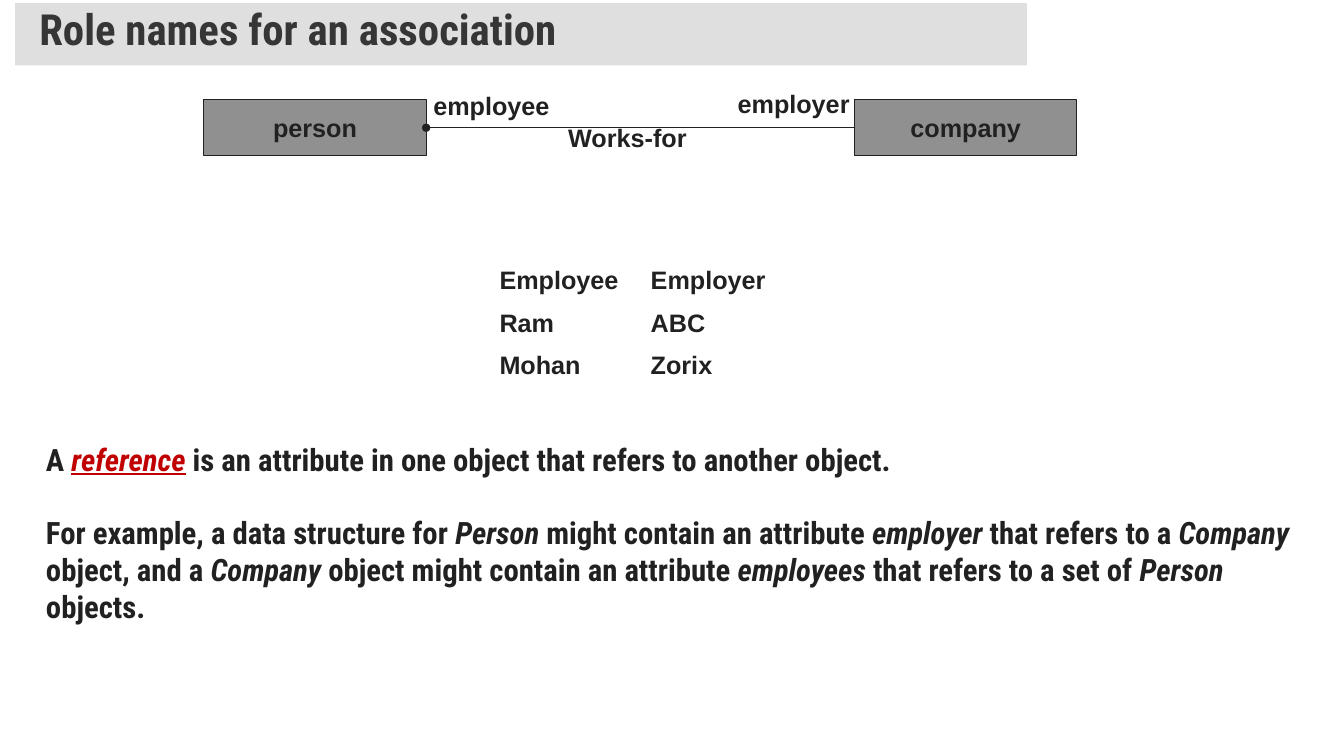
import pptx
import pptx.dml.color
import pptx.enum.shapes
import pptx.enum.text
import pptx.oxml
import pptx.oxml.ns
import pptx.util

Cm = pptx.util.Cm
Pt = pptx.util.Pt


def colour(hex_code):
    """Turn a hex string into a colour."""
    return pptx.dml.color.RGBColor.from_string(hex_code)


class AssociationSlide:
    """Hold the style and the current slide, and draw its elements."""

    INK = "212121"
    ACCENT = "C00000"
    LABEL_FONT = "Arial"
    BODY_FONT = "Roboto Condensed"

    def __init__(self, deck):
        """Add a title-only slide to the deck."""
        self.slide = deck.slides.add_slide(deck.slide_layouts[5])

    def style(self, run, font, size, ink=INK):
        """Format one bold run."""
        run.font.name = font
        run.font.size = Pt(size)
        run.font.bold = True
        run.font.color.rgb = colour(ink)

    def title(self, wording, left, top, width, height):
        """Place the title on its half-transparent grey band."""
        heading = self.slide.shapes.title
        heading.left, heading.top = Cm(left), Cm(top)
        heading.width, heading.height = Cm(width), Cm(height)
        heading.fill.solid()
        heading.fill.fore_color.rgb = colour("C0C0C0")
        grey = heading.fill._xPr.find(".//" + pptx.oxml.ns.qn("a:srgbClr"))
        grey.append(pptx.oxml.parse_xml(
            f'<a:alpha {pptx.oxml.ns.nsdecls("a")} val="50000"/>'))
        frame = heading.text_frame
        frame.text = wording
        frame.auto_size = pptx.enum.text.MSO_AUTO_SIZE.NONE
        frame.vertical_anchor = pptx.enum.text.MSO_ANCHOR.MIDDLE
        frame.margin_left = frame.margin_right = Cm(0.61)
        frame.margin_top = frame.margin_bottom = Cm(0.3)
        line = frame.paragraphs[0]
        line.alignment = pptx.enum.text.PP_ALIGN.LEFT
        line.line_spacing = 0.7
        self.style(line.runs[0], self.BODY_FONT, 30.6, "363636")

    def class_box(self, name, left, top, width, height):
        """Draw the rectangle of one class."""
        box = self.slide.shapes.add_shape(
            pptx.enum.shapes.MSO_SHAPE.RECTANGLE,
            Cm(left), Cm(top), Cm(width), Cm(height))
        box.shadow.inherit = False
        box.fill.solid()
        box.fill.fore_color.rgb = colour("909090")
        box.line.color.rgb = colour(self.INK)
        box.line.width = Pt(0.75)
        box.text_frame.text = name
        box.text_frame.vertical_anchor = pptx.enum.text.MSO_ANCHOR.MIDDLE
        line = box.text_frame.paragraphs[0]
        line.alignment = pptx.enum.text.PP_ALIGN.CENTER
        self.style(line.runs[0], self.LABEL_FONT, 18)
        return box

    def association(self, source, target):
        """Join two class boxes with a line that starts in a dot."""
        link = self.slide.shapes.add_connector(
            pptx.enum.shapes.MSO_CONNECTOR.STRAIGHT, 0, 0, 0, 0)
        link.begin_connect(source, 3)
        link.end_connect(target, 1)
        link.line.color.rgb = colour(self.INK)
        link.line.width = Pt(0.75)
        names = pptx.oxml.ns.nsdecls("a")
        link.line._ln.append(
            pptx.oxml.parse_xml(f'<a:headEnd {names} type="oval"/>'))
        link._element.spPr.append(
            pptx.oxml.parse_xml(f"<a:effectLst {names}/>"))

    def text_box(self, left, top, width, height):
        """Add an empty wrapping text box and return its frame."""
        frame = self.slide.shapes.add_textbox(
            Cm(left), Cm(top), Cm(width), Cm(height)).text_frame
        frame.word_wrap = True
        return frame

    def label(self, wording, left, top, width, height, gap=0):
        """Write plain bold lines, with a gap before each later line."""
        frame = self.text_box(left, top, width, height)
        frame.text = wording
        for index, line in enumerate(frame.paragraphs):
            line.space_before = Pt(gap if index else 0)
            for run in line.runs:
                self.style(run, self.LABEL_FONT, 18)

    def prose(self, passages, left, top, width, height, gap):
        """Write passages whose starred parts are italic and key term is red."""
        frame = self.text_box(left, top, width, height)
        for index, passage in enumerate(passages):
            line = frame.add_paragraph() if index else frame.paragraphs[0]
            line.space_before = Pt(gap if index else 0)
            for position, part in enumerate(passage.split("*")):
                run = line.add_run()
                run.text = part
                is_key = part == "reference"
                self.style(run, self.BODY_FONT, 22,
                           self.ACCENT if is_key else self.INK)
                run.font.italic = position % 2 == 1
                run.font.underline = is_key


def main():
    """Build the slide and save it."""
    deck = pptx.Presentation()
    deck.slide_width, deck.slide_height = Cm(33.87), Cm(19.05)
    page = AssociationSlide(deck)
    page.title("Role names for an association", 0.38, 0.08, 25.5, 1.57)

    person = page.class_box("person", 5.14, 2.52, 5.6, 1.4)
    company = page.class_box("company", 21.54, 2.52, 5.6, 1.4)
    page.association(person, company)
    page.label("employee", 10.67, 2.16, 3.48, 1.02)
    page.label("employer", 18.34, 2.11, 3.35, 1.02)
    page.label("Works-for", 14.07, 2.97, 3.53, 1.02)

    page.label("Employee\tEmployer\nRam\t\tABC\nMohan\t\tZorix",
               12.34, 6.53, 9.19, 3.3, gap=9)
    page.prose(
        ["A *reference* is an attribute in one object that refers to "
         "another object.",
         "For example, a data structure for *Person *might contain an "
         "attribute *employer *that refers to a *Company *object, and a "
         "*Company *object might contain an attribute *employees *that "
         "refers to a set of *Person *objects."],
        0.91, 10.97, 32.51, 4.95, gap=26.4)
    deck.save("out.pptx")


if __name__ == "__main__":
    main()
